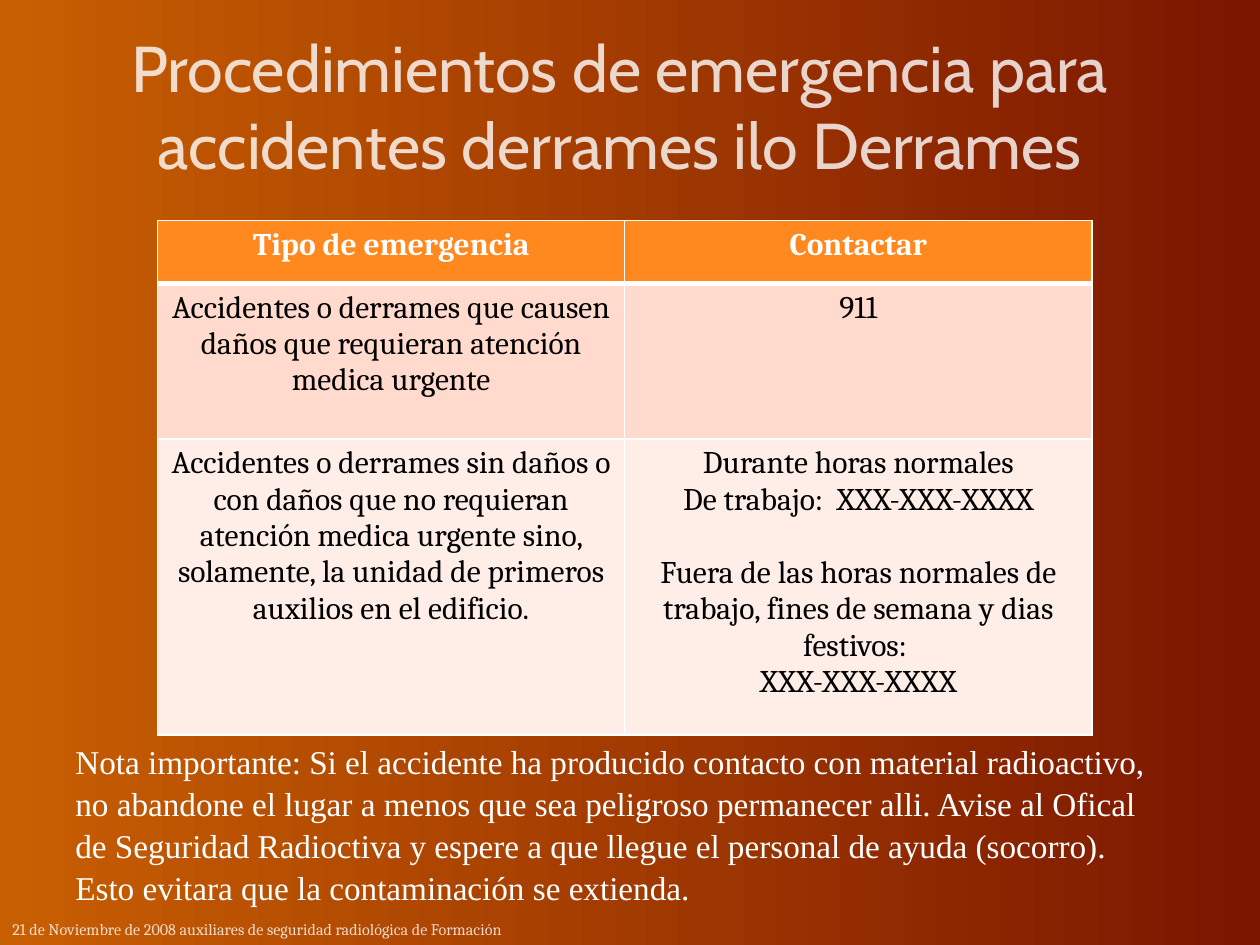
from dataclasses import dataclass

from lxml import etree
from pptx import Presentation
from pptx.dml.color import RGBColor
from pptx.enum.text import MSO_ANCHOR, PP_ALIGN
from pptx.oxml.ns import qn
from pptx.util import Pt

CENTER, LEFT = PP_ALIGN.CENTER, PP_ALIGN.LEFT
BOTTOM = MSO_ANCHOR.BOTTOM
WHITE, BLACK = "FFFFFF", "000000"


@dataclass
class Style:
    font: str
    size: float
    color: str = WHITE
    bold: bool = False
    alpha: int = 100
    align: PP_ALIGN = LEFT
    spacing: float = 1.0


@dataclass
class Row:
    height: float
    fill: str
    style: Style
    bottom_line: float
    cells: list[list[str]]


TITLE = Style("Cabin", 37, alpha=80, align=CENTER)
HEADER = Style("Cambria", 18, bold=True, align=CENTER)
BODY = Style("Cambria", 18, BLACK, align=CENTER)
NOTE = Style("Times New Roman", 19, spacing=1.05)
FOOTER = Style("Cambria", 9.2, alpha=80)

CONTACT_GAP = 21  # between the two contact times, one line high
ROWS = [
    Row(36, "FF881F", HEADER, 3, [["Tipo de emergencia"], ["Contactar"]]),
    Row(89, "FFDACD", BODY, 1, [
        ["Accidentes o derrames que causen daños que requieran atención "
         "medica urgente"],
        ["911"],
    ]),
    Row(169, "FFEDE8", BODY, 1, [
        ["Accidentes o derrames sin daños o con daños que no requieran "
         "atención medica urgente sino, solamente, la unidad de primeros "
         "auxilios en el edificio."],
        ["Durante horas normales",
         "De trabajo:  XXX-XXX-XXXX",
         "Fuera de las horas normales de trabajo, fines de semana y dias "
         "festivos: ",
         "XXX-XXX-XXXX"],
    ]),
]


def rgb(color: str) -> RGBColor:
    return RGBColor.from_string(color)


def write(tf, paragraphs: list[str], style: Style) -> None:
    for i, text in enumerate(paragraphs):
        p = tf.add_paragraph() if i else tf.paragraphs[0]
        p.alignment = style.align
        p.line_spacing = style.spacing
        p.space_before = p.space_after = Pt(0)
        r = p.add_run()
        r.text = text
        r.font.name = style.font
        r.font.size = Pt(style.size)
        r.font.bold = style.bold
        r.font.color.rgb = rgb(style.color)
        if style.alpha < 100:
            clr = r.font.fill._xPr.find(".//" + qn("a:srgbClr"))
            etree.SubElement(clr, qn("a:alpha"), val=str(style.alpha * 1000))


def fill_frame(sp, paragraphs: list[str], style: Style) -> None:
    tf = sp.text_frame
    tf.word_wrap = True
    tf.vertical_anchor = BOTTOM
    write(tf, paragraphs, style)


def set_borders(cell, top: float, bottom: float) -> None:
    tc_pr = cell._tc.get_or_add_tcPr()
    widths = {"lnL": 1, "lnR": 1, "lnT": top, "lnB": bottom}
    for i, (side, width) in enumerate(widths.items()):
        ln = etree.Element(qn("a:" + side), w=str(Pt(width)))
        solid = etree.SubElement(ln, qn("a:solidFill"))
        etree.SubElement(solid, qn("a:srgbClr"), val=WHITE)
        tc_pr.insert(i, ln)


def add_contact_table(s) -> None:
    height = sum(row.height for row in ROWS)
    table = s.shapes.add_table(
        len(ROWS), 2, Pt(90), Pt(126), Pt(534), Pt(height)).table
    top_line = 1
    for i, row in enumerate(ROWS):
        table.rows[i].height = Pt(row.height)
        for j, paragraphs in enumerate(row.cells):
            cell = table.cell(i, j)
            cell.fill.solid()
            cell.fill.fore_color.rgb = rgb(row.fill)
            set_borders(cell, top_line, row.bottom_line)
            write(cell.text_frame, paragraphs, row.style)
        top_line = row.bottom_line
    after_hours = table.cell(2, 1).text_frame.paragraphs[2]
    after_hours.space_before = Pt(CONTACT_GAP)


def paint_background(s) -> None:
    fill = s.background.fill
    fill.gradient()
    fill.gradient_angle = 0
    for stop, position, color in zip(
            fill.gradient_stops, (0, 1), ("C85F02", "7B1600")):
        stop.position = position
        stop.color.rgb = rgb(color)


def main() -> None:
    prs = Presentation()
    prs.slide_width, prs.slide_height = Pt(720), Pt(540)
    s = prs.slides.add_slide(prs.slide_layouts[5])
    paint_background(s)

    title = s.shapes.title
    title.left, title.top = Pt(0), Pt(0)
    title.width, title.height = Pt(708), Pt(108)
    fill_frame(title, [
        "Procedimientos de emergencia para accidentes derrames ilo Derrames",
    ], TITLE)

    add_contact_table(s)

    note = s.shapes.add_textbox(Pt(36), Pt(408), Pt(636), Pt(114))
    fill_frame(note, [
        "Nota importante: Si el accidente ha producido contacto con material "
        "radioactivo, no abandone el lugar a menos que sea peligroso "
        "permanecer alli. Avise al Ofical de Seguridad Radioctiva y espere a "
        "que llegue el personal de ayuda (socorro).",
        "Esto evitara que la contaminación se extienda.",
    ], NOTE)

    footer = s.shapes.add_textbox(Pt(0), Pt(522), Pt(330), Pt(18))
    fill_frame(footer, [
        "21 de Noviembre de 2008 auxiliares de seguridad radiológica de "
        "Formación",
    ], FOOTER)

    prs.save("out.pptx")


if __name__ == "__main__":
    main()
